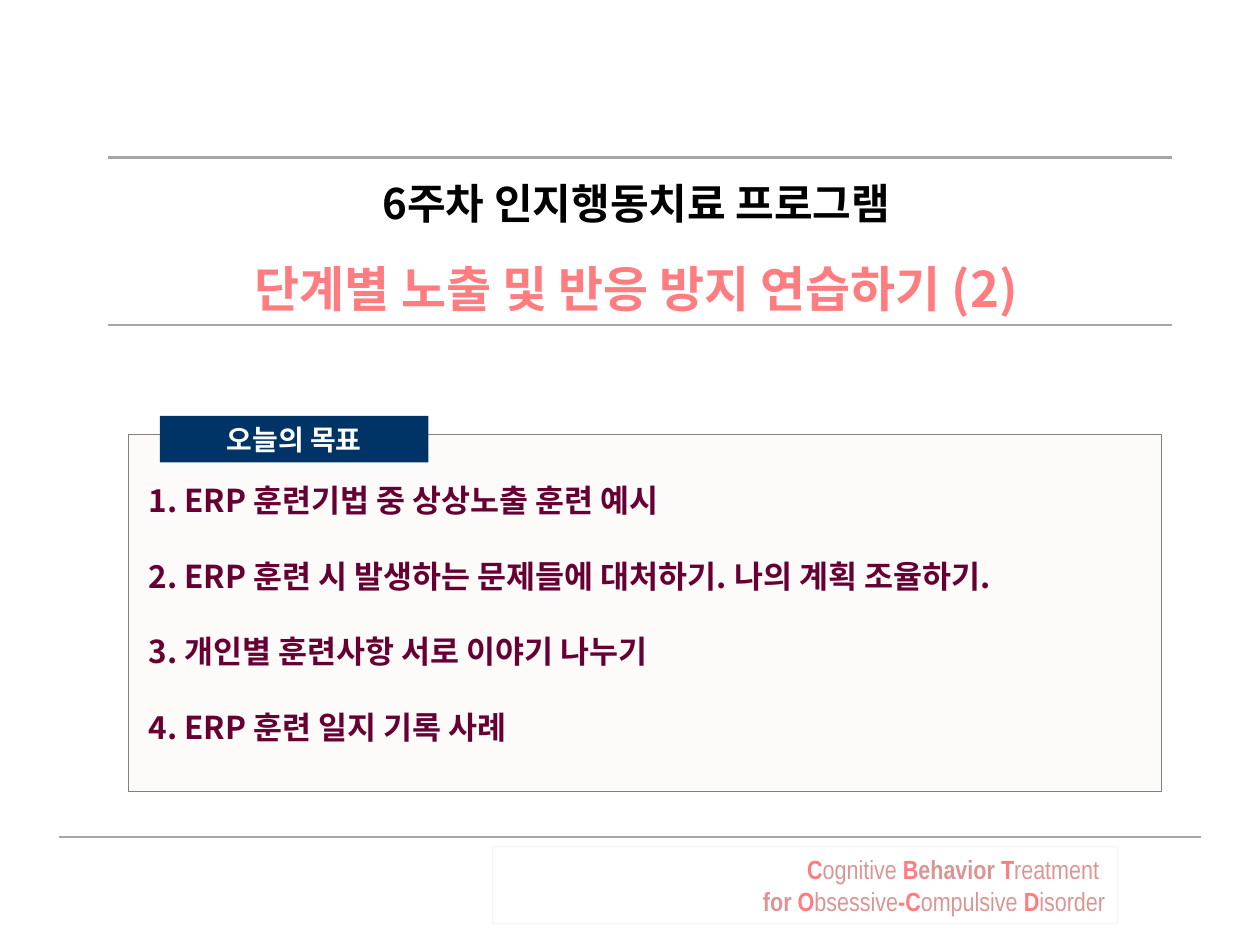
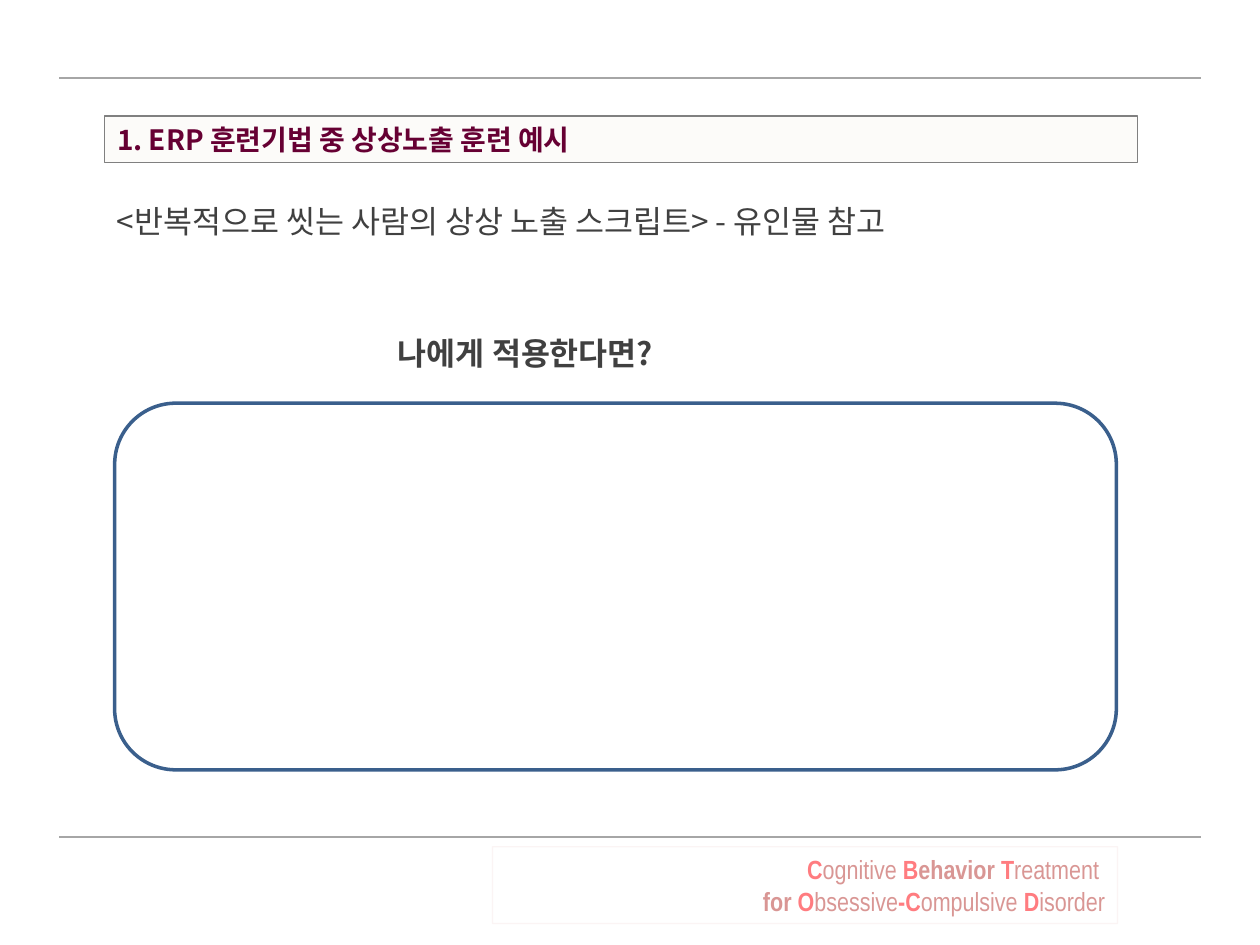
from lxml import etree
from pptx import Presentation
from pptx.dml.color import RGBColor
from pptx.enum.shapes import MSO_CONNECTOR, MSO_SHAPE
from pptx.enum.text import MSO_ANCHOR, MSO_AUTO_SIZE, PP_ALIGN
from pptx.oxml.ns import qn
from pptx.util import Inches, Pt

BLACK = RGBColor(0x00, 0x00, 0x00)
WHITE = RGBColor(0xFF, 0xFF, 0xFF)
CORAL = RGBColor(0xFF, 0x7C, 0x80)
ROSE = RGBColor(0xD9, 0x96, 0x94)
PLUM = RGBColor(0x66, 0x00, 0x33)
NAVY = RGBColor(0x00, 0x33, 0x66)
BLUE = RGBColor(0x3A, 0x5F, 0x8C)
CREAM = RGBColor(0xFC, 0xFB, 0xF9)
RULE = RGBColor(0xA6, 0xA6, 0xA6)
BORDER = RGBColor(0x80, 0x80, 0x80)
TEXT = RGBColor(0x40, 0x40, 0x40)

KOREAN = "Noto Sans CJK KR"
NARROW = "Arial Narrow"
FIRST_TOPIC = "1. ERP 훈련기법 중 상상노출 훈련 예시"


def write(p, text, size=18, color=TEXT, bold=True, font=KOREAN,
          align=PP_ALIGN.LEFT, line=None, before=0):
    p.alignment = align
    p.space_before = Pt(before)
    if line:
        p.line_spacing = Pt(line)
    r = p.add_run()
    r.text = text
    r.font.name = font
    r.font.size = Pt(size)
    r.font.bold = bold
    r.font.color.rgb = color
    ea = etree.SubElement(r.font._element, qn("a:ea"))
    ea.set("typeface", font)
    r.font._element.find(qn("a:latin")).addnext(ea)


def add_box(shapes, kind, at, fill=None, line=None, width=0.75):
    sp = shapes.add_shape(kind, *map(Inches, at))
    sp.shadow.inherit = False
    if fill is None:
        sp.fill.background()
    else:
        sp.fill.solid()
        sp.fill.fore_color.rgb = fill
    if line is None:
        sp.line.fill.background()
    else:
        sp.line.color.rgb = line
        sp.line.width = Pt(width)
    return sp


prs = Presentation()
prs.slide_width, prs.slide_height = Inches(10), Inches(7.5)
cover, script = [prs.slides.add_slide(prs.slide_layouts[5]) for _ in range(2)]

RULES = [
    (cover, [(0.47, 9.53, 6.64), (0.86, 9.3, 2.58), (0.86, 9.3, 1.25)]),
    (script, [(0.47, 9.53, 6.64), (0.47, 9.53, 0.62)]),
]
FOOTER = [
    [("C", CORAL, True), ("ognitive", ROSE, False), (" B", CORAL, True),
     ("ehavior", ROSE, True), (" T", CORAL, True), ("reatment ", ROSE, False)],
    [("for", ROSE, True), (" O", CORAL, True), ("bsessive", ROSE, False),
     ("-C", CORAL, True), ("ompulsive", ROSE, False), (" D", CORAL, True),
     ("isorder", ROSE, False)],
]

for s, rules in RULES:
    for x1, x2, y in rules:
        rule = s.shapes.add_connector(
            MSO_CONNECTOR.STRAIGHT, Inches(x1), Inches(y), Inches(x2), Inches(y))
        rule.line.color.rgb = RULE
        rule.line.width = Pt(1.25)
        etree.SubElement(rule._element.spPr, qn("a:effectLst"))
    sp = add_box(s.shapes, MSO_SHAPE.RECTANGLE, (3.91, 6.72, 4.96, 0.61), line=ROSE)
    edge = sp._element.spPr.find(qn("a:ln")).find(".//" + qn("a:srgbClr"))
    etree.SubElement(edge, qn("a:alpha")).set("val", "10000")
    tf = sp.text_frame
    for i, runs in enumerate(FOOTER):
        p = tf.add_paragraph() if i else tf.paragraphs[0]
        for text, color, bold in runs:
            write(p, text, size=15, color=color, bold=bold, font=NARROW,
                  align=PP_ALIGN.RIGHT)

TITLES = [
    (cover, (1.09, 1.02, 7.92, 1.58), PP_ALIGN.CENTER, 51,
     [("6주차 인지행동치료 프로그램", 24, BLACK),
      ("단계별 노출 및 반응 방지 연습하기 (2)", 28, CORAL)]),
    (script, (0.83, 0.92, 8.2, 0.37), PP_ALIGN.LEFT, None,
     [(FIRST_TOPIC, 16, PLUM)]),
]
for s, at, align, spacing, lines in TITLES:
    title = s.shapes.title
    title.left, title.top, title.width, title.height = map(Inches, at)
    tf = title.text_frame
    tf.auto_size = MSO_AUTO_SIZE.NONE
    tf.vertical_anchor = MSO_ANCHOR.MIDDLE
    for i, (text, size, color) in enumerate(lines):
        p = tf.add_paragraph() if i else tf.paragraphs[0]
        write(p, text, size=size, color=color, align=align, line=spacing)

title = script.shapes.title
title.fill.solid()
title.fill.fore_color.rgb = CREAM
title.line.color.rgb = BORDER
title.line.width = Pt(0.75)

goals = cover.shapes.add_group_shape().shapes
sp = add_box(goals, MSO_SHAPE.RECTANGLE, (1.02, 3.45, 8.2, 2.83), CREAM, BORDER)
tf = sp.text_frame
tf.vertical_anchor = MSO_ANCHOR.TOP
tf.margin_left, tf.margin_top = Inches(0.16), Inches(0.37)
topics = [
    FIRST_TOPIC,
    "2. ERP 훈련 시 발생하는 문제들에 대처하기. 나의 계획 조율하기.",
    "3. 개인별 훈련사항 서로 이야기 나누기",
    "4. ERP 훈련 일지 기록 사례",
]
for i, topic in enumerate(topics):
    p = tf.add_paragraph() if i else tf.paragraphs[0]
    write(p, topic, color=PLUM, line=21.6, before=21.6 if i else 0)

sp = add_box(goals, MSO_SHAPE.RECTANGLE, (1.27, 3.3, 2.13, 0.37), NAVY)
write(sp.text_frame.paragraphs[0], "오늘의 목표", size=16, color=WHITE,
      align=PP_ALIGN.CENTER)

body = script.shapes.add_textbox(*map(Inches, (0.83, 1.55, 8.05, 4.39)))
tf = body.text_frame
tf.word_wrap = True
write(tf.paragraphs[0], "<반복적으로 씻는 사람의 상상 노출 스크립트> - 유인물 참고",
      bold=False, line=21.6)
p = tf.add_paragraph()
write(p, "나에게 적용한다면?", line=21.6, before=54)
p._p.get_or_add_pPr().set("marL", str(Inches(2.23)))

add_box(script.shapes, MSO_SHAPE.ROUNDED_RECTANGLE, (0.91, 3.2, 7.95, 2.91),
        line=BLUE, width=2)

prs.save("out.pptx")
